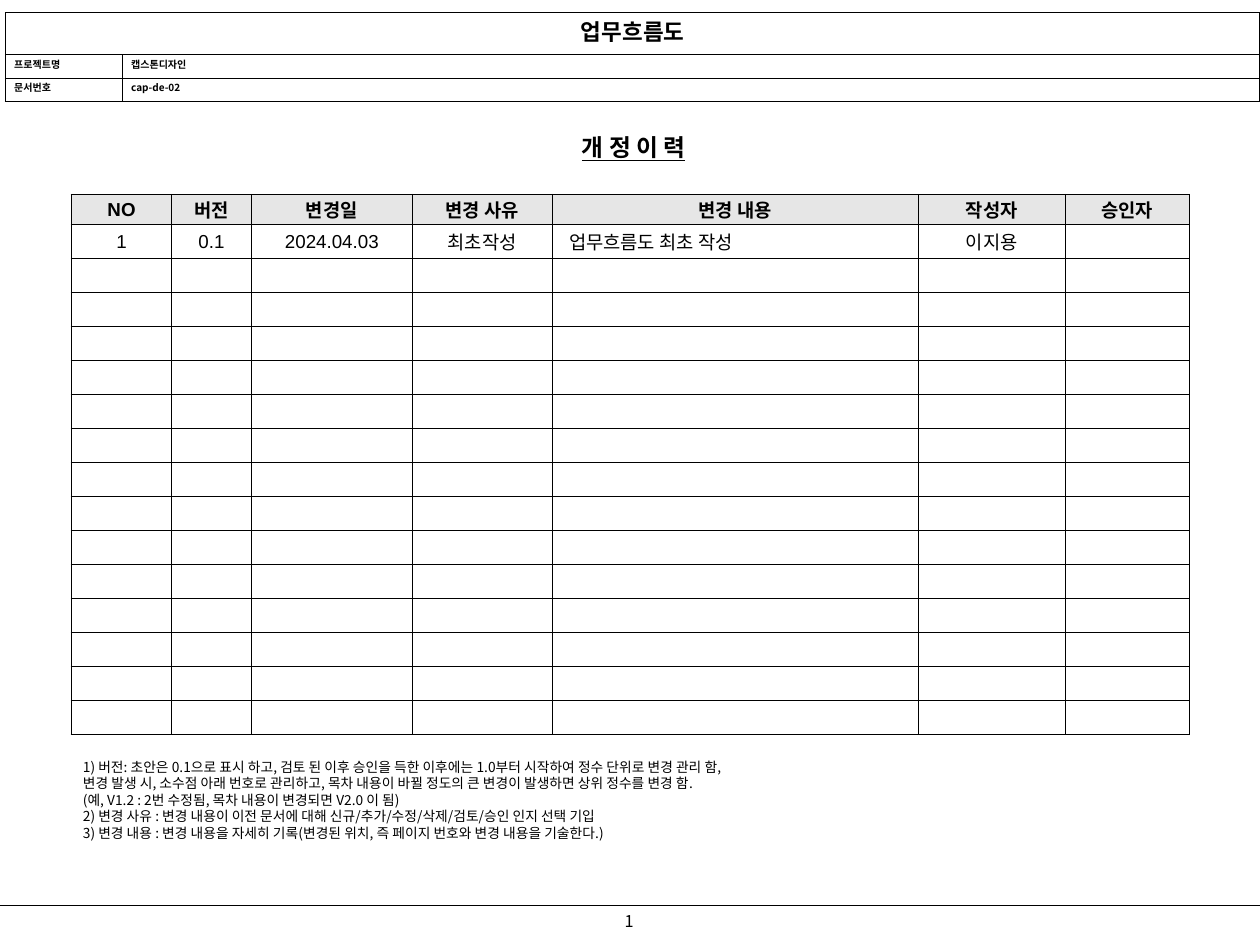
from pptx import Presentation
from pptx.util import Cm, Pt
from pptx.dml.color import RGBColor
from pptx.enum.shapes import MSO_CONNECTOR as Link
from pptx.enum.text import MSO_ANCHOR as Anchor, PP_ALIGN as Align
from pptx.oxml import parse_xml as make
from pptx.oxml.ns import nsdecls

NOTO = "Noto Sans CJK KR"
INK = "000000"
NS = nsdecls("a")
HEADS = ["NO", "버전", "변경일", "변경 사유", "변경 내용", "작성자", "승인자"]
FIRST = ["1", "0.1", "2024.04.03", "최초작성", "업무흐름도 최초 작성", "이지용", ""]
NOTES = [
    "1) 버전: 초안은 0.1으로 표시 하고, 검토 된 이후 승인을 득한 이후에는 1.0부터 시작하여 정수 단위로 변경 관리 함,",
    "변경 발생 시, 소수점 아래 번호로 관리하고, 목차 내용이 바뀔 정도의 큰 변경이 발생하면 상위 정수를 변경 함.",
    "(예, V1.2 : 2번 수정됨, 목차 내용이 변경되면 V2.0 이 됨)",
    "2) 변경 사유 : 변경 내용이 이전 문서에 대해 신규/추가/수정/삭제/검토/승인 인지 선택 기입",
    "3) 변경 내용 : 변경 내용을 자세히 기록(변경된 위치, 즉 페이지 번호와 변경 내용을 기술한다.)",
]


def color(code):
    """Turn a hex string into a colour."""
    return RGBColor.from_string(code)


def apply(item, form):
    """Set each attribute named in a dict."""
    for key, value in form.items():
        setattr(item, key, value)


def write(para, words, size, face=NOTO, align=Align.LEFT, **form):
    """Put one run of styled words in a paragraph."""
    para.alignment = align
    run = para.add_run()
    run.text = words
    apply(run.font, {"size": Pt(size), "name": face, **form})
    run.font.color.rgb = color(INK)
    run.font._element.append(make(f'<a:ea {NS} typeface="{NOTO}"/>'))


def add_text(slide, box, lines, size, wrap=True, anchor=Anchor.TOP, **form):
    """Add a text box with tight, even lines."""
    frame = slide.shapes.add_textbox(*map(Cm, box)).text_frame
    apply(frame, {
        "word_wrap": wrap, "vertical_anchor": anchor,
        "margin_left": Cm(0.33), "margin_right": Cm(0.33),
        "margin_top": Cm(0.18), "margin_bottom": Cm(0.18),
    })
    for i, line in enumerate(lines):
        para = frame.add_paragraph() if i else frame.paragraphs[0]
        write(para, line, size, **form)
        para.line_spacing = Pt(size * 1.2)


def style(cell, fill, form):
    """Give a cell its margins, thin borders and fill."""
    apply(cell, form)
    props = cell._tc.get_or_add_tcPr()
    for side in "LRTB":
        props.append(make(
            f'<a:ln{side} {NS} w="12700"><a:solidFill>'
            f'<a:srgbClr val="{INK}"/></a:solidFill></a:ln{side}>'))
    if fill:
        cell.fill.solid()
        cell.fill.fore_color.rgb = color(fill)
    else:
        cell.fill.background()


def add_grid(slide, left, top, cols, rows):
    """Add a plain table with the given column and row sizes."""
    box = (left, top, sum(cols), sum(rows))
    grid = slide.shapes.add_table(len(rows), len(cols), *map(Cm, box)).table
    apply(grid, {"first_row": False, "horz_banding": False})
    for col, width in zip(grid.columns, cols):
        col.width = Cm(width)
    for row, height in zip(grid.rows, rows):
        row.height = Cm(height)
    return grid


def add_header(slide, left, top):
    """Place the document header."""
    grid = add_grid(slide, left, top, [3.3, 32.11], [1.19, 0.66, 0.66])
    form = {"margin_left": Cm(0.25), "margin_right": Cm(0.25),
            "margin_top": Cm(0.05), "margin_bottom": Cm(0.05)}
    for cell in grid.iter_cells():
        style(cell, "FFFFFF", form)
    grid.cell(0, 0).merge(grid.cell(0, 1))
    write(grid.cell(0, 0).text_frame.paragraphs[0], "업무흐름도", 18,
          align=Align.CENTER, bold=True)
    pairs = [("프로젝트명", "캡스톤디자인"), ("문서번호", "cap-de-02")]
    for r, pair in enumerate(pairs, 1):
        for c, words in enumerate(pair):
            para = grid.cell(r, c).text_frame.paragraphs[0]
            write(para, words, 8, bold=True)


def add_log(slide, left, top):
    """Place the table of revisions."""
    cols = [2.84, 2.24, 4.55, 3.94, 10.34, 4.14, 3.51]
    grid = add_grid(slide, left, top, cols, [0.85] + [0.96] * 15)
    form = {"margin_left": Cm(0.23), "margin_right": Cm(0.23),
            "margin_top": 0, "margin_bottom": 0,
            "vertical_anchor": Anchor.MIDDLE}
    for i, cell in enumerate(grid.iter_cells()):
        style(cell, "E6E6E6" if i < len(cols) else None, form)
    for r, texts in enumerate([HEADS, FIRST]):
        for c, words in enumerate(texts):
            if words:
                wide = r == 1 and c == 4
                cell = grid.cell(r, c)
                if wide:
                    cell.margin_left = Cm(0.48)
                write(cell.text_frame.paragraphs[0], words, 15, "Arial",
                      Align.LEFT if wide else Align.CENTER, bold=r == 0)


def add_footer(slide, top, width):
    """Place the rule and the page number."""
    ends = (0, top, width, top)
    rule = slide.shapes.add_connector(Link.STRAIGHT, *map(Cm, ends))
    rule.line.width = Pt(1)
    rule.line.color.rgb = color(INK)
    rule._element.spPr.append(make(f"<a:effectLst {NS}/>"))
    add_text(slide, (17.07, top, 1.37, 0.89), ["1"], 13,
             wrap=False, align=Align.CENTER)


def main():
    """Build the revision slide."""
    deck = Presentation()
    apply(deck, {"slide_width": Cm(35.56), "slide_height": Cm(26.67)})
    slide = deck.slides.add_slide(deck.slide_layouts[6])
    add_footer(slide, 25.55, 35.56)
    add_text(slide, (14.78, 3.56, 6.2, 1.19), ["개 정 이 력"], 19,
             anchor=Anchor.MIDDLE, align=Align.CENTER,
             bold=True, underline=True)
    add_log(slide, 2.01, 5.49)
    add_text(slide, (2.01, 21.23, 31.55, 2.69), NOTES, 11)
    add_header(slide, 0.15, 0.36)
    deck.save("out.pptx")


if __name__ == "__main__":
    main()
